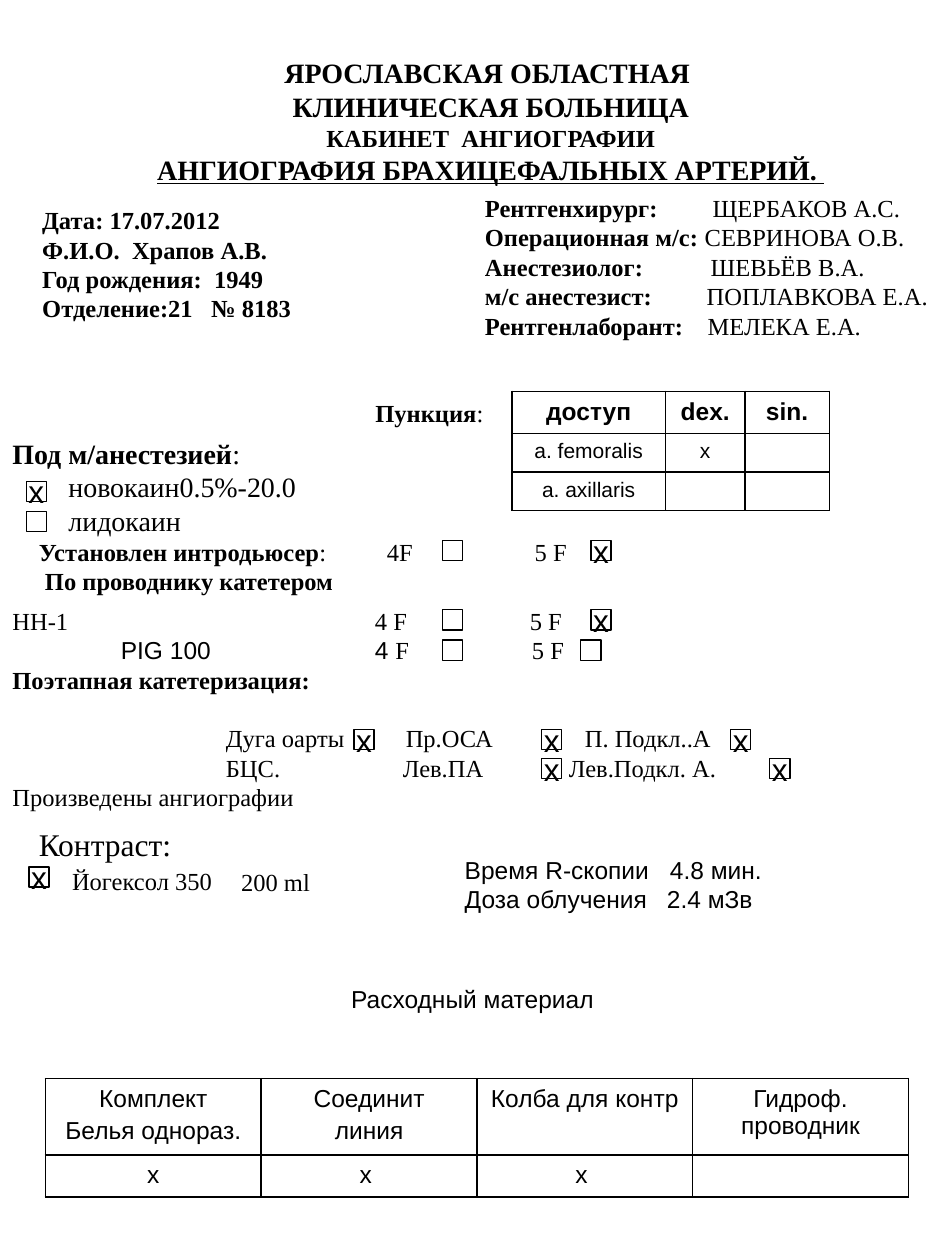
from lxml import etree
from pptx import Presentation
from pptx.dml.color import RGBColor
from pptx.enum.shapes import MSO_SHAPE
from pptx.enum.text import MSO_ANCHOR, MSO_AUTO_SIZE, PP_ALIGN
from pptx.oxml.ns import qn
from pptx.util import Pt

RECTANGLE = MSO_SHAPE.RECTANGLE
MIDDLE, TOP = MSO_ANCHOR.MIDDLE, MSO_ANCHOR.TOP
NO_AUTOFIT = MSO_AUTO_SIZE.NONE
CENTER, LEFT = PP_ALIGN.CENTER, PP_ALIGN.LEFT

COLORS = {"ink": "000000"}
SERIF, SANS = "Times New Roman", "Arial"
BOLD = {"bold": True}
BOX_SIZE = 11.5
LINE_HEIGHT = 16.8
TITLE_ONLY = 5


class FormSlide:
    """Holds the text style and the slide being filled."""

    def __init__(self, presentation):
        self.slide = presentation.slides.add_slide(presentation.slide_layouts[TITLE_ONLY])
        self.shapes = self.slide.shapes
        self.ink = RGBColor.from_string(COLORS["ink"])

    def run(self, paragraph, text, **format_values):
        run = paragraph.add_run()
        run.text = text
        values = {"name": SERIF, "size": 14, "bold": False} | format_values
        values["size"] = Pt(values["size"])
        for name, value in values.items():
            setattr(run.font, name, value)
        run.font.color.rgb = self.ink

    def paragraphs(self, frame, lines, align=LEFT, **style):
        """Each line is (runs, options); runs are (text, format) pairs."""
        for index, (runs, options) in enumerate(lines):
            paragraph = frame.paragraphs[0] if index == 0 else frame.add_paragraph()
            paragraph.alignment = align
            paragraph.space_before = Pt(options.get("before", 0))
            properties = paragraph._p.get_or_add_pPr()
            properties.set("marL", str(Pt(options.get("indent", 0))))
            properties.set("indent", "0")
            for text, format_values in runs:
                self.run(paragraph, text, **(style | format_values))

    def frame(self, shape, lines, wrap=True, margin_top=3.6, **style):
        frame = shape.text_frame
        values = {"word_wrap": wrap, "auto_size": NO_AUTOFIT, "vertical_anchor": TOP,
                  "margin_top": Pt(margin_top)}
        for name, value in values.items():
            setattr(frame, name, value)
        self.paragraphs(frame, lines, **style)

    def title(self, left, top, width, height, lines, **style):
        title = self.shapes.title
        values = {"left": left, "top": top, "width": width, "height": height}
        for name, value in values.items():
            setattr(title, name, Pt(value))
        self.frame(title, lines, **style)

    def text(self, left, top, width, height, lines, **style):
        shape = self.shapes.add_textbox(Pt(left), Pt(top), Pt(width), Pt(height))
        self.frame(shape, lines, **style)

    def columns(self, top, height, columns, **style):
        """Text boxes side by side; each column is (left, width, lines)."""
        for left, width, lines in columns:
            self.text(left, top, width, height, lines, **style)

    def checkbox(self, left, top, checked):
        shape = self.shapes.add_shape(RECTANGLE, Pt(left), Pt(top), Pt(BOX_SIZE), Pt(BOX_SIZE))
        shape.shadow.inherit = False
        shape.fill.background()
        shape.line.color.rgb = self.ink
        shape.line.width = Pt(0.75)
        if checked:
            frame = shape.text_frame
            frame.word_wrap = False
            frame.vertical_anchor = MIDDLE
            self.paragraphs(frame, [line("х")], align=CENTER, name=SANS, size=18)

    def border(self, cell):
        properties = cell._tc.get_or_add_tcPr()
        for index, side in enumerate(("lnL", "lnR", "lnT", "lnB")):
            edge = etree.Element(qn(f"a:{side}"), w=str(Pt(1)))
            fill = etree.SubElement(edge, qn("a:solidFill"))
            etree.SubElement(fill, qn("a:srgbClr"), val=COLORS["ink"])
            properties.insert(index, edge)

    def table(self, left, top, widths, heights, rows, formats):
        table = self.shapes.add_table(len(rows), len(widths), Pt(left), Pt(top),
                                      Pt(sum(widths)), Pt(sum(heights))).table
        table.first_row = table.horz_banding = False
        for column, width in zip(table.columns, widths):
            column.width = Pt(width)
        for row, height, texts, row_format in zip(table.rows, heights, rows, formats):
            row.height = Pt(height)
            for cell, text in zip(row.cells, texts):
                cell.fill.background()
                self.border(cell)
                if text:
                    lines = [line(part, before=2.8) for part in text.split("\n")]
                    self.paragraphs(cell.text_frame, lines, align=CENTER, name=SANS, **row_format)
                else:
                    cell.margin_top = cell.margin_bottom = 0


def line(text, format_values=None, **options):
    return [(text, format_values or {})], options


def main():
    presentation = Presentation()
    presentation.slide_width, presentation.slide_height = Pt(540), Pt(720)
    form = FormSlide(presentation)

    # Heading
    form.title(37.5, 25.2, 486, 106.5, [
        line("ЯРОСЛАВСКАЯ ОБЛАСТНАЯ "),
        line("КЛИНИЧЕСКАЯ БОЛЬНИЦА"),
        line("КАБИНЕТ  АНГИОГРАФИИ", {"size": 14}),
        line("АНГИОГРАФИЯ БРАХИЦЕФАЛЬНЫХ АРТЕРИЙ. ", {"underline": True}),
    ], align=CENTER, size=16, bold=True, wrap=False, margin_top=6.7)

    # Patient and staff
    patient = ["Дата: 17.07.2012", "Ф.И.О.  Храпов А.В.", "Год рождения:  1949",
               "Отделение:21   № 8183"]
    form.text(17, 93.6, 185.8, 148.3, [line(text) for text in patient],
              bold=True, wrap=False, margin_top=23.7)
    staff = [("Рентгенхирург:", "ЩЕРБАКОВ А.С.", 4.6),
             ("Операционная м/с:", "СЕВРИНОВА О.В.", 0),
             ("Анестезиолог:", "ШЕВЬЁВ В.А.", 3.4),
             ("м/с анестезист:", "ПОПЛАВКОВА Е.А.", 1.1),
             ("Рентгенлаборант:", "МЕЛЕКА Е.А.", 1.7)]
    form.columns(106.7, 92.2, [
        (270, 140, [line(role, BOLD) for role, person, indent in staff]),
        (395.6, 144.4, [line(person, indent=indent) for role, person, indent in staff]),
    ])

    # Anaesthesia and puncture
    form.text(0, 212.4, 246.2, 147.6, [
        ([("Под м/анестезией", BOLD), (":", {})], {}),
        line("новокаин0.5%-20.0", indent=32),
        line("лидокаин", indent=32),
    ], size=16, wrap=False, margin_top=36.8)
    form.text(207.4, 224, 76.3, 24, [([("Пункция", BOLD), (":", {})], {})], wrap=False)
    form.table(292.5, 223.7, [87.8, 45.4, 48.2], [24, 21.6, 21.6],
               [("доступ", "dex.", "sin."), ("a. femoralis", "х", ""), ("a. axillaris", "", "")],
               [{"size": 14, "bold": True}, {"size": 12}, {"size": 12}])

    # Introducer
    form.columns(303.1, 41, [
        (15.1, 195, [([("Установлен интродьюсер", BOLD), (":", {})], {}),
                     line("По проводнику катетером", BOLD, indent=3.5)]),
        (214, 40, [line("4F")]),
        (298.5, 42, [line("5 F")]),
    ])

    # Catheters and stages
    form.columns(342.7, 143.3, [
        (0, 200, [line("НН-1"),
                  line("РIG 100", {"name": SANS}, indent=62),
                  line("Поэтапная катетеризация:", BOLD),
                  line("Произведены ангиографии", before=3 * LINE_HEIGHT)]),
        (207.2, 45, [line("4 F"), ([("4 ", {"name": SANS}), ("F", {})], {})]),
        (295.7, 45, [line("5 F"), line("5 F", indent=1.2)]),
    ])
    form.columns(342.7 + 4 * LINE_HEIGHT, 41, [
        (122, 95, [line("Дуга оарты"), line("БЦС.")]),
        (223.1, 85, [line("Пр.ОСА", indent=1.7), line("Лев.ПА")]),
        (318, 110, [line("П. Подкл..А", indent=9.1), line("Лев.Подкл. А.")]),
    ])

    # Contrast agent, dose and supplies
    form.text(15.1, 468, 125, 50, [
        line("Контраст:", {"size": 18}),
        line("Йогексол 350", before=1.5, indent=19),
    ])
    form.text(130.7, 492, 80, 24, [line("200 ml")])
    form.columns(484.8, 41, [
        (258.5, 125, [line("Время R-скопии"), line("Доза облучения")]),
        (374, 109, [line("4.8 мин.", indent=1.7), line("2.4 мЗв")]),
    ], name=SANS)
    form.text(0, 558.7, 540, 74.2, [line("Расходный материал")], align=CENTER, name=SANS)
    form.table(26, 616.3, [123.3] * 4, [43.6, 24],
               [("Комплект\nБелья однораз.", "Соединит\nлиния", "Колба для контр",
                 "Гидроф. проводник"), ("х", "х ", "х ", "")],
               [{"size": 14}, {"size": 14}])

    # Check boxes: top of the row, then left edge and state of each box
    checkbox_rows = {
        275: [(15, True)],
        292.3: [(15, False)],
        308.9: [(252.7, False), (337.7, True)],
        348.5: [(252.7, False), (337.7, True)],
        365.8: [(252.7, False), (331.9, False)],
        416.9: [(202.3, True), (309.6, True), (417.6, True)],
        433.4: [(309.6, True), (439.9, True)],
        495.4: [(16.6, True)],
    }
    for top, boxes in checkbox_rows.items():
        for left, checked in boxes:
            form.checkbox(left, top, checked)

    presentation.save("out.pptx")


if __name__ == "__main__":
    main()
